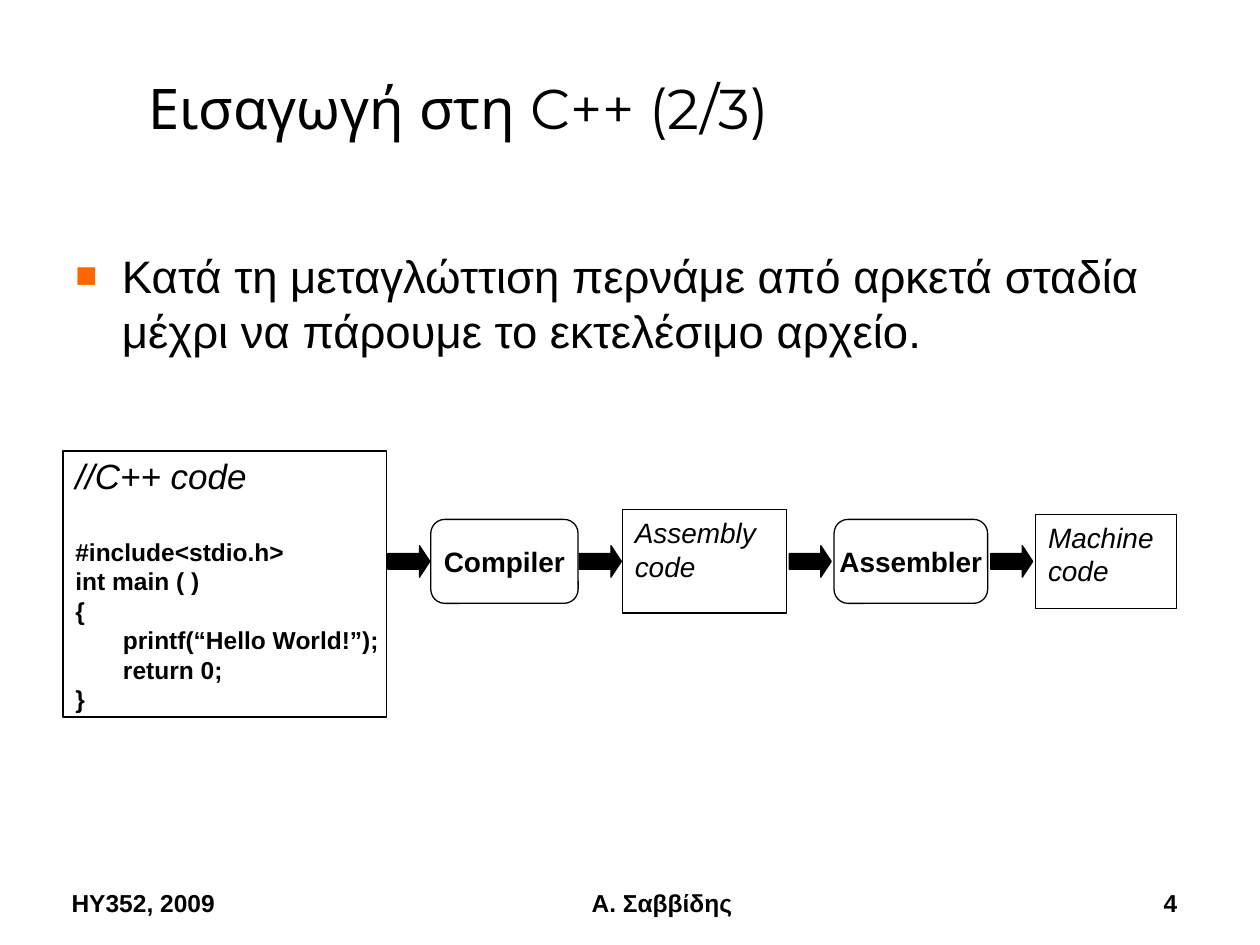
from lxml.etree import SubElement
from pptx import Presentation
from pptx.dml.color import RGBColor
from pptx.enum.shapes import MSO_SHAPE as SHAPE
from pptx.enum.text import MSO_ANCHOR as ANCHOR, PP_ALIGN as ALIGN
from pptx.oxml.ns import qn
from pptx.util import Pt

BLACK, WHITE, ORANGE = "000000", "FFFFFF", "FF6600"
TITLE = "Εισαγωγή στη C++ (2/3)"
BODY = "Κατά τη μεταγλώττιση περνάμε από αρκετά σταδία μέχρι να πάρουμε το εκτελέσιμο αρχείο."
CODE_TITLE = "//C++ code"
CODE = [
    "#include<stdio.h>",
    "int main ( )",
    "{",
    "       printf(“Hello World!”);",
    "       return 0;",
    "}",
]
FILE = dict(shape=SHAPE.RECTANGLE, italic=True, anchor=ANCHOR.TOP)
TOOL = dict(shape=SHAPE.ROUNDED_RECTANGLE, bold=True, align=ALIGN.CENTER)
STAGES = [
    (246.2, 84.2, 48, ["Compiler"], TOOL),
    (355.7, 93.6, 59, ["Assembly", "code"], FILE),
    (476.6, 87.8, 48, ["Assembler"], TOOL),
    (591.8, 80.6, 54, ["Machine", "code"], FILE),
]
FOOTERS = [
    (33.8, 157.7, "HY352, 2009", ALIGN.LEFT),
    (264.2, 228.2, "Α. Σαββίδης", ALIGN.CENTER),
    (529.9, 149.8, "4", ALIGN.RIGHT),
]
CODE_LEFT, CODE_WIDTH = 36, 185
FLOW_Y = 320.8
ARROW_W, ARROW_H = 24, 18


def rgb(value):
    return RGBColor.from_string(value)


def add_text(tf, text, size=16, font="Arial", bold=False, italic=False,
             align=ALIGN.LEFT, before=0, first=True):
    p = tf.paragraphs[0] if first else tf.add_paragraph()
    p.alignment = align
    p.space_before = Pt(before)
    r = p.add_run()
    r.text = text
    r.font.name, r.font.size = font, Pt(size)
    r.font.bold, r.font.italic = bold, italic
    r.font.color.rgb = rgb(BLACK)
    return p


def add_box(s, x, y, w, h, anchor=ANCHOR.TOP):
    tf = s.shapes.add_textbox(Pt(x), Pt(y), Pt(w), Pt(h)).text_frame
    tf.word_wrap = True
    tf.vertical_anchor = anchor
    return tf


def add_shape(s, shape, x, y, w, h, fill=WHITE, anchor=ANCHOR.MIDDLE):
    sp = s.shapes.add_shape(shape, Pt(x), Pt(y), Pt(w), Pt(h))
    sp.shadow.inherit = False
    sp.fill.solid()
    sp.fill.fore_color.rgb = rgb(fill)
    sp.line.color.rgb = rgb(BLACK)
    sp.line.width = Pt(0.75)
    sp.text_frame.word_wrap = False
    sp.text_frame.vertical_anchor = anchor
    return sp


def add_bullet(p, indent, color, percent):
    pPr = p._p.get_or_add_pPr()
    pPr.set("marL", str(Pt(indent)))
    pPr.set("indent", str(-Pt(indent)))
    clr = SubElement(pPr, qn("a:buClr"))
    SubElement(clr, qn("a:srgbClr"), val=color)
    SubElement(pPr, qn("a:buSzPct"), val=str(percent * 1000))
    SubElement(pPr, qn("a:buFont"), typeface="Arial")
    SubElement(pPr, qn("a:buChar"), char="■")


def add_flow(s):
    tf = add_shape(s, SHAPE.RECTANGLE, CODE_LEFT, 257.8, CODE_WIDTH, 152).text_frame
    add_text(tf, CODE_TITLE, size=20, italic=True)
    for i, line in enumerate(CODE):
        add_text(tf, line, size=14, bold=True, before=0 if i else 23, first=False)

    right = CODE_LEFT + CODE_WIDTH
    for x, w, h, lines, style in STAGES:
        style = dict(style)
        shape, anchor = style.pop("shape"), style.pop("anchor", ANCHOR.MIDDLE)
        sp = add_shape(s, shape, x, FLOW_Y - h / 2, w, h, anchor=anchor)
        for i, line in enumerate(lines):
            add_text(sp.text_frame, line, first=i == 0, **style)
        arrow = add_shape(s, SHAPE.RIGHT_ARROW, (right + x - ARROW_W) / 2,
                          FLOW_Y - ARROW_H / 2, ARROW_W, ARROW_H, fill=BLACK)
        arrow.adjustments[1] = 0.33
        right = x + w


def main():
    prs = Presentation()
    prs.slide_width, prs.slide_height = Pt(720), Pt(540)
    s = prs.slides.add_slide(prs.slide_layouts[6])
    add_text(add_box(s, 77.8, 12.2, 642.2, 72, ANCHOR.BOTTOM), TITLE,
             size=32, font="Montserrat")
    p = add_text(add_box(s, 36, 138.2, 653.8, 347.8), BODY, size=26)
    add_bullet(p, 26.6, ORANGE, 80)
    add_flow(s)
    for x, w, text, align in FOOTERS:
        add_text(add_box(s, x, 491.8, w, 36, ANCHOR.BOTTOM), text,
                 size=14, bold=True, align=align)
    prs.save("out.pptx")


if __name__ == "__main__":
    main()
